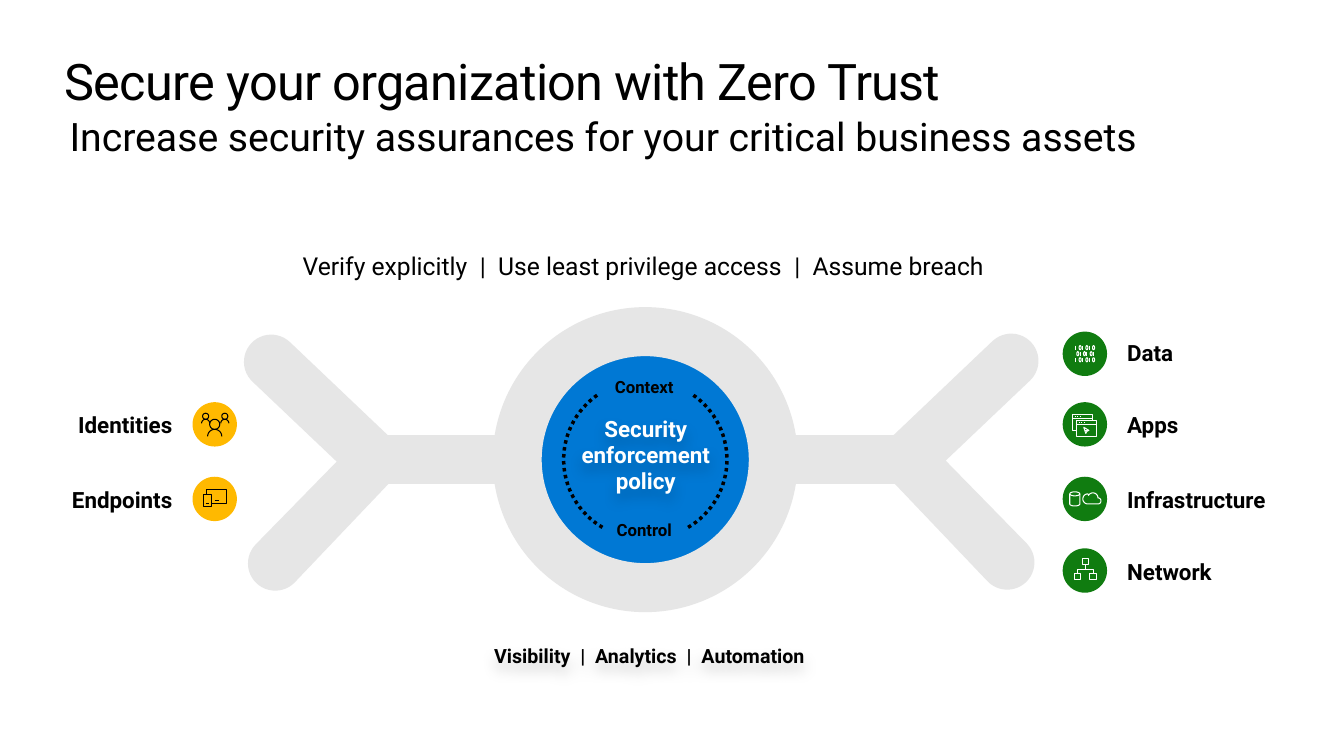
from math import cos, radians, sin

from lxml.etree import SubElement
from pptx import Presentation
from pptx.dml.color import RGBColor
from pptx.enum.dml import MSO_LINE
from pptx.enum.shapes import MSO_CONNECTOR, MSO_SHAPE
from pptx.enum.text import MSO_ANCHOR, MSO_AUTO_SIZE, PP_ALIGN
from pptx.oxml.ns import qn
from pptx.util import Pt

PX = 9144
FONT = "Roboto"
BLACK = RGBColor(0x00, 0x00, 0x00)
WHITE = RGBColor(0xFF, 0xFF, 0xFF)
GRAY = RGBColor(0xE6, 0xE6, 0xE6)
BLUE = RGBColor(0x00, 0x78, 0xD4)
GOLD = RGBColor(0xFF, 0xB9, 0x00)
GREEN = RGBColor(0x10, 0x7C, 0x10)


def emu(*nums):
    """Turn px lengths into EMU."""
    return [round(n * PX) for n in nums]


def ring(x, y, rx, ry, start=0, end=360):
    """Return points along an elliptical arc, angles running clockwise."""
    steps = 24
    turns = [radians(start + (end - start) * i / steps) for i in range(steps + 1)]
    return [(x + rx * cos(t), y + ry * sin(t)) for t in turns]


def frame(x, y, right, low):
    """Return the closed outline of a rectangle."""
    return [(x, y), (right, y), (right, low), (x, low), (x, y)]


def paint(shape, fill=None, line=None, width=0.75):
    """Set the fill and line of a shape and drop its shadow."""
    shape.shadow.inherit = False
    if fill is None:
        shape.fill.background()
    else:
        shape.fill.solid()
        shape.fill.fore_color.rgb = fill
    if line is None:
        shape.line.fill.background()
    else:
        shape.line.color.rgb = line
        shape.line.width = Pt(width)
    return shape


def trace(shapes, strokes, x=0, y=0, fill=None, line=None):
    """Draw several strokes as one outline, offset by x and y."""
    paths = [[emu(x + a, y + b) for a, b in stroke] for stroke in strokes]
    pen = shapes.build_freeform(*paths[0][0], scale=1.0)
    for i, points in enumerate(paths):
        if i:
            pen.move_to(*points[0])
        pen.add_line_segments(points[1:], close=points[0] == points[-1])
    return paint(pen.convert_to_shape(), fill, line)


def add_run(para, text, size, color=BLACK, bold=False, gap=None):
    """Add one run, with optional letter spacing in hundredths of a point."""
    run = para.add_run()
    run.text = text
    font = run.font
    font.name, font.size, font.bold = FONT, Pt(size), bold
    font.color.rgb = color
    if gap is not None:
        font._element.set("spc", str(round(gap)))


def prep(shape, align, wrap=True):
    """Clear margins and return the first paragraph."""
    body = shape.text_frame
    body.margin_left = body.margin_right = body.margin_top = body.margin_bottom = 0
    body.auto_size = MSO_AUTO_SIZE.NONE
    body.vertical_anchor = MSO_ANCHOR.TOP
    body.word_wrap = wrap
    para = body.paragraphs[0]
    para.alignment = align
    return para


def label(shapes, box, text, size, align=PP_ALIGN.CENTER, color=BLACK):
    """Place a bold label in its box."""
    shape = shapes.add_textbox(*emu(*box))
    add_run(prep(shape, align), text, size, color, True)
    return shape


def strip(shapes, box, words, size, bold=False, wrap=True):
    """Place a centred line of words parted by spaced bars."""
    shape = shapes.add_textbox(*emu(*box))
    para = prep(shape, PP_ALIGN.CENTER, wrap)
    for i, word in enumerate(words):
        if i:
            add_run(para, " ", size, bold=bold, gap=25 * size)
            add_run(para, "|", size, bold=bold)
            add_run(para, " ", size, bold=bold, gap=25 * size)
        add_run(para, word, size, bold=bold)
    return shape


def shade(shape):
    """Give a text box a soft shadow."""
    effects = SubElement(shape._element.spPr, qn("a:effectLst"))
    cast = SubElement(effects, qn("a:outerShdw"), blurRad="127000", dist="63500", dir="5400000")
    tint = SubElement(cast, qn("a:srgbClr"), val="000000")
    SubElement(tint, qn("a:alpha"), val="20000")


def heads(slide):
    """Fill the title and the line below it."""
    title, body = slide.shapes.title, slide.placeholders[1]
    title.left, title.top, title.width, title.height = emu(64, 50, 1205, 61)
    body.left, body.top, body.width, body.height = emu(69, 111, 1185, 57)
    add_run(prep(title, PP_ALIGN.LEFT), "Secure your organization with Zero Trust", 36, gap=-50)
    para = prep(body, PP_ALIGN.LEFT)
    props = para._p.get_or_add_pPr()
    props.set("marL", "0")
    props.set("indent", "0")
    SubElement(props, qn("a:buNone"))
    para.space_before = Pt(0)
    add_run(para, "Increase security assurances for your critical business assets", 28)


def hub(shapes, x, y, size):
    """Draw the policy circle with its axle and texts."""
    mid = y + size / 2
    axle = shapes.add_connector(MSO_CONNECTOR.STRAIGHT, *emu(x - 148, mid, x + 411, mid))
    axle.line.color.rgb = GRAY
    axle.line.width = Pt(35)
    SubElement(axle._element.spPr, qn("a:effectLst"))
    disc = shapes.add_shape(MSO_SHAPE.OVAL, *emu(x, y, size, size))
    paint(disc, BLUE, GRAY, 35)
    label(shapes, (x + 85, y + 45, 82, 29), "Context", 12)
    core = label(shapes, (x + 47, y + 84, 161, 105), "Security enforcement policy", 16, color=WHITE)
    core.text_frame.paragraphs[0].line_spacing = Pt(18.6)
    shade(core)
    label(shapes, (x + 85, y + 187, 82, 29), "Control", 12)
    for left, turn, flip in ((x + 52, 45.1, False), (x + 46, 314.9, True)):
        arc = shapes.add_shape(MSO_SHAPE.ARC, *emu(left, y + 49, 156, 156))
        arc.adjustments[0], arc.adjustments[1] = 155.96, 8.82
        arc.rotation = turn
        paint(arc, None, BLACK, 2.5).line.dash_style = MSO_LINE.ROUND_DOT
        if flip:
            arc._element.spPr.find(qn("a:xfrm")).set("flipH", "1")


def arm(shapes, x, y, side):
    """Draw a forked arm from its outer edge; side is 1 or -1."""
    edge = (ring(27, 27, 27, 27, 133, 313) + ring(129, 124, 27, 27, -47, 44)
            + ring(31, 227, 27, 27, 44, 224) + [(92, 126)])
    trace(shapes, [[(side * a, b) for a, b in edge + edge[:1]]], x, y, GRAY)


def window(x, y):
    """Return the strokes of a browser window."""
    dots = [[(x + d, y + 2), (x + d + 1, y + 2)] for d in (2, 4, 7)]
    return [frame(x, y, x + 20, y + 16), [(x, y + 4), (x + 20, y + 4)]] + dots


def digits():
    """Return three rows of ones and zeros in turn."""
    out = []
    for row in range(3):
        for col in range(6):
            x, y = 13 + col * 10 / 3 + row % 2, 16 + row * 6
            out.append(ring(x + 1, y, 1, 2) if (row + col) % 2 else [(x, y - 2), (x, y + 2)])
    return out


ICONS = {
    "Identities": [[ring(22, 22, 5, 5), ring(22, 34, 7, 7, 180, 360)]
                   + [ring(x, 14, 3, 3) for x in (13, 32)]
                   + [ring(x, 21, 4, 4, 180, 360) for x in (13, 32)]],
    "Endpoints": [[frame(11, 18, 19, 30), [(13, 27), (16, 27)], [(22, 24), (26, 24)],
                   [(14, 18), (14, 13), (34, 13), (34, 27), (19, 27)]]],
    "Data": [digits()],
    "Apps": [window(10, 12),
             window(14, 18) + [[(21, 25), (26, 28), (24, 29), (23, 31), (21, 25)]]],
    "Infrastructure": [[ring(12, 17, 5, 2),
                        [(17, 17)] + ring(12, 27, 5, 2, 0, 180) + [(7, 17)],
                        ring(25, 22, 5, 5, 90, 270) + ring(30, 21, 5, 5, 210, 350)
                        + ring(35, 24, 3, 3, -90, 90) + [(25, 27)]]],
    "Network": [[frame(12, 25, 18, 31), frame(27, 25, 34, 31), frame(20, 10, 26, 16),
                 [(23, 16), (23, 21)], [(31, 25), (31, 21), (15, 21), (15, 25)]]],
}


def badge(shapes, x, y, name, color, ink):
    """Draw a round badge with its icon."""
    paint(shapes.add_shape(MSO_SHAPE.OVAL, *emu(x, y, 44, 44)), color)
    for i, layer in enumerate(ICONS[name]):
        trace(shapes, layer, x, y, color if i else None, ink)


def main():
    """Build and save the slide."""
    deck = Presentation()
    deck.slide_width, deck.slide_height = emu(1333, 750)
    slide = deck.slides.add_slide(deck.slide_layouts[1])
    shapes = slide.shapes
    heads(slide)
    strip(shapes, (38, 249, 1200, 30),
          ("Verify explicitly", "Use least privilege access", "Assume breach"), 17.6)
    hub(shapes, 513, 329, 254)
    arm(shapes, 242, 332, 1)
    arm(shapes, 1030, 331, -1)
    for name, y in (("Identities", 399), ("Endpoints", 473)):
        badge(shapes, 191, y, name, GOLD, BLACK)
        label(shapes, (66, y + 9, 105, 27), name, 16, PP_ALIGN.RIGHT)
    for name, y, drop in (("Data", 329, 7), ("Apps", 399, 9),
                          ("Infrastructure", 473, 9), ("Network", 544, 10)):
        badge(shapes, 1054, y, name, GREEN, WHITE)
        label(shapes, (1118, y + drop, 140, 27), name, 16, PP_ALIGN.LEFT)
    shade(strip(shapes, (443, 639, 402, 49),
                ("Visibility", "Analytics", "Automation"), 14, True, False))
    deck.save("out.pptx")


if __name__ == "__main__":
    main()
